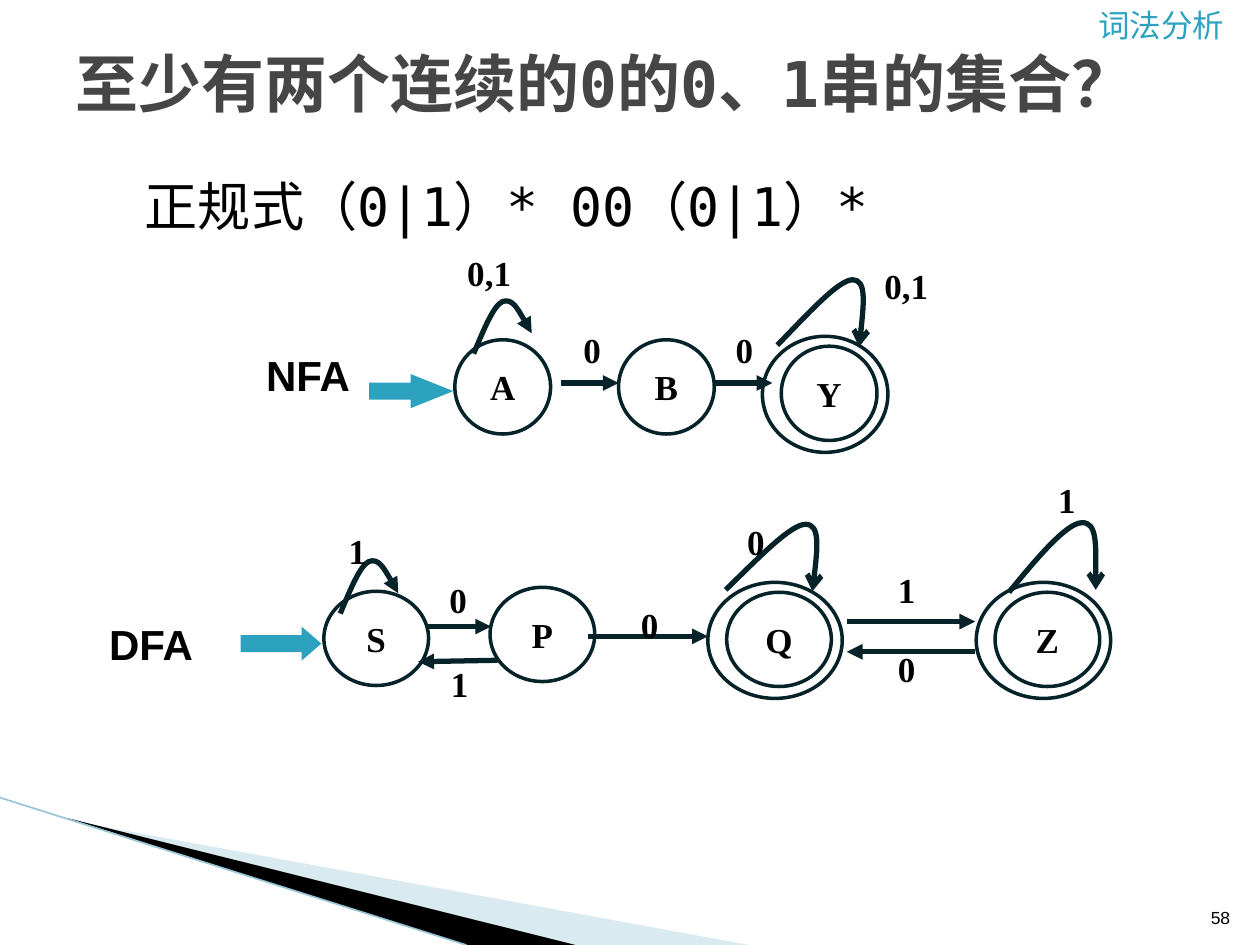
import pptx
import pptx.util
import pptx.dml.color
import pptx.enum.shapes
import pptx.enum.text
import pptx.oxml
import pptx.oxml.ns
from dataclasses import dataclass

Cm, Pt = pptx.util.Cm, pptx.util.Pt
RGB = pptx.dml.color.RGBColor.from_string
MSO = pptx.enum.shapes.MSO_SHAPE
ALIGN = pptx.enum.text.PP_ALIGN
ANCHOR = pptx.enum.text.MSO_ANCHOR
qn = pptx.oxml.ns.qn


@dataclass(frozen=True)
class Theme:
    ink: str = "062329"
    accent: str = "2DA2BF"
    pale: str = "A0CBDC"
    edge: str = "97C5D8"
    black: str = "000000"
    white: str = "FFFFFF"
    title: tuple = ("DejaVu Sans Mono", 36, True, "464646")
    body: tuple = ("DejaVu Sans Mono", 30.4, False, "000000")
    header: tuple = ("Arial", 18, False, "2DA2BF")
    number: tuple = ("Arial", 10, False, "000000")
    name: tuple = ("Arial", 24, True, "000000")
    symbol: tuple = ("Times New Roman", 20, True, "000000")


T = Theme()

# Bezier control points relative to the start of each loop, in cm
LOOPS = {
    "small": [(.2, -.48), (.4, -.97), (.58, -1.05), (.78, -1.12), (.97, -.77), (1.17, -.41)],
    "wide": [(.64, -.66), (1.24, -1.32), (1.52, -1.32), (1.8, -1.32), (1.73, -.64), (1.65, .03)],
    "steep": [(.58, -.71), (1.17, -1.4), (1.47, -1.4), (1.78, -1.42), (1.75, -.74), (1.75, -.05)],
}

NFA = {
    "name": ("NFA", 0, 1.98, 2.26),
    "start": (2.36, 2.59, 1.7, 1.25),
    "state_width": 1.93,
    "states": [("A", 4.09, 1.9, False), ("B", 7.39, 1.9, False), ("Y", 10.67, 2.03, True)],
    "edges": [(6.22, 2.77, 7.39, 2.77), (9.32, 2.77, 10.49, 2.77)],
    "loops": [("small", 4.47, 2.18, 1), ("wide", 10.59, 2.01, 1)],
    "labels": [("0,1", 4.09, 0), ("0", 6.43, 1.55), ("0", 9.5, 1.55), ("0,1", 12.5, .25)],
}
DFA = {
    "name": ("DFA", 0, 2.82, 2.69),
    "start": (3.15, 3.1, 1.63, .58),
    "state_width": 2.11,
    "states": [("S", 4.83, 2.39, False), ("P", 8.18, 2.31, False),
               ("Q", 12.95, 2.41, True), ("Z", 18.36, 2.41, True)],
    "edges": [(8.33, 3.78, 6.73, 3.81), (6.93, 3.1, 8.2, 3.1), (10.16, 3.3, 12.57, 3.3),
              (17.96, 3.61, 15.37, 3.61), (15.37, 3, 17.96, 3)],
    "loops": [("small", 5.16, 2.84, 1), ("wide", 12.93, 2.36, 1.06), ("steep", 18.64, 2.41, 1)],
    "labels": [("1", 5.08, 1.02), ("0", 7.11, 2.01), ("0", 10.97, 2.51), ("1", 7.14, 3.71),
               ("1", 19.38, 0), ("0", 13.11, .84), ("0", 16.15, 3.4), ("1", 16.15, 1.8)],
}


def write(sp, text, style, align=ALIGN.LEFT, **frame):
    tf = sp.text_frame
    settings = {"word_wrap": True, "vertical_anchor": ANCHOR.TOP,
                "auto_size": pptx.enum.text.MSO_AUTO_SIZE.NONE, **frame}
    for key, value in settings.items():
        setattr(tf, key, value)
    p = tf.paragraphs[0]
    p.alignment = align
    r = p.add_run()
    r.text = text
    font, size, bold, color = style
    for key, value in {"name": font, "size": Pt(size), "bold": bold}.items():
        setattr(r.font, key, value)
    r.font.color.rgb = RGB(color)


def add_text(shapes, box, text, style, **options):
    write(shapes.add_textbox(*map(Cm, box)), text, style, **options)


def paint(sp, fill=None, line=None, width=2):
    sp.shadow.inherit = False
    if fill:
        sp.fill.solid()
        sp.fill.fore_color.rgb = RGB(fill)
    else:
        sp.fill.background()
    if line:
        sp.line.color.rgb = RGB(line)
        sp.line.width = Pt(width)
    else:
        sp.line.fill.background()


def add_arrowhead(sp, kind):
    ln = sp.line._get_or_add_ln()
    ln.append(ln.makeelement(qn("a:tailEnd"), {"type": kind}))


def add_line(shapes, ends, color, width):
    s = shapes.add_connector(pptx.enum.shapes.MSO_CONNECTOR.STRAIGHT, *map(Cm, ends))
    s.line.color.rgb = RGB(color)
    s.line.width = Pt(width)
    pr = s._element.spPr
    pr.append(pr.makeelement(qn("a:effectLst"), {}))
    return s


def add_outline(shapes, points, close):
    (x, y), *rest = [(Cm(a), Cm(b)) for a, b in points]
    builder = shapes.build_freeform(x, y)
    builder.add_line_segments(rest, close=close)
    return builder.convert_to_shape()


def add_loop(shapes, kind, x, y, stretch):
    sp = add_outline(shapes, [(x, y)] + [(x + dx * stretch, y + dy) for dx, dy in LOOPS[kind]], False)
    paint(sp, line=T.ink, width=3)
    add_arrowhead(sp, "triangle" if kind == "small" else "arrow")
    # turn each three straight segments into one Bezier segment
    path = sp._element.find(".//" + qn("a:path"))
    segments = path.findall(qn("a:lnTo"))
    for i in range(0, len(segments), 3):
        curve = path.makeelement(qn("a:cubicBezTo"), {})
        for segment in segments[i:i + 3]:
            curve.append(segment[0])
            path.remove(segment)
        path.append(curve)


def add_state(shapes, name, x, y, width, accepting):
    height = 1.9
    sp = shapes.add_shape(MSO.OVAL, *map(Cm, (x, y, width, height)))
    paint(sp, T.white, T.ink)
    write(sp, name, T.symbol, ALIGN.CENTER, word_wrap=False, vertical_anchor=ANCHOR.MIDDLE)
    if accepting:
        ring = (x - .38, y - .2, width + .6, height + .44)
        paint(shapes.add_shape(MSO.OVAL, *map(Cm, ring)), line=T.ink)


def add_automaton(s, left, top, spec):
    shapes = s.shapes.add_group_shape().shapes
    name, x, y, width = spec["name"]
    add_text(shapes, (left + x, top + y, width, 1.27), name, T.name, align=ALIGN.CENTER)
    x, y, width, head = spec["start"]
    sp = shapes.add_shape(MSO.RIGHT_ARROW, *map(Cm, (left + x, top + y, width, .69)))
    sp.adjustments[1] = head
    paint(sp, T.accent)
    for name, x, y, accepting in spec["states"]:
        add_state(shapes, name, left + x, top + y, spec["state_width"], accepting)
    for x1, y1, x2, y2 in spec["edges"]:
        edge = add_line(shapes, (left + x1, top + y1, left + x2, top + y2), T.ink, 3)
        add_arrowhead(edge, "triangle")
    for kind, x, y, stretch in spec["loops"]:
        add_loop(shapes, kind, left + x, top + y, stretch)
    for text, x, y in spec["labels"]:
        width = 1.4 if "," in text else .86
        add_text(shapes, (left + x, top + y, width, 1.09), text, T.symbol, word_wrap=False)


def add_corner(s, left, top):
    """Draw the wedges that rise from the bottom edge to the left edge."""
    bottom = 19.05
    wedges = [(T.pale, [(1.4, .46), (15.1, bottom - top), (11.58, bottom - top)]),
              (T.black, [(1.35, .41), (11.6, bottom - top), (9.4, bottom - top)])]
    for color, points in wedges:
        sp = add_outline(s.shapes, [(left + x, top + y) for x, y in points], True)
        paint(sp, color)
        if color == T.pale:
            clr = sp._element.find(".//" + qn("a:srgbClr"))
            clr.append(clr.makeelement(qn("a:alpha"), {"val": "40000"}))
    add_line(s.shapes, (left, top, left + 9.4, bottom), T.edge, .95)


def add_heading(s, left, top, width, height):
    sp = s.shapes.title
    box = {"left": left, "top": top, "width": width, "height": height}
    for key, value in box.items():
        setattr(sp, key, Cm(value))
    write(sp, "至少有两个连续的0的0、1串的集合？", T.title)


def main():
    prs = pptx.Presentation()
    prs.slide_width, prs.slide_height = Cm(25.4), Cm(19.05)
    s = prs.slides.add_slide(prs.slide_layouts[5])
    add_corner(s, 0, 16.08)
    add_text(s.shapes, (21.89, 0, 3.5, 1.02), "词法分析", T.header)
    add_text(s.shapes, (24.03, 17.81, 1.02, 1.02), "58", T.number,
             align=ALIGN.RIGHT, vertical_anchor=ANCHOR.BOTTOM)
    add_heading(s, 1.27, .76, 24.13, 3.18)
    add_text(s.shapes, (2.36, 3.38, 19.35, 1.57), "正规式（0|1）* 00（0|1）*", T.body,
             margin_left=Cm(.56))
    add_automaton(s, 5.08, 4.95, NFA)
    add_automaton(s, 1.7, 9.53, DFA)
    prs.save("out.pptx")


if __name__ == "__main__":
    main()
